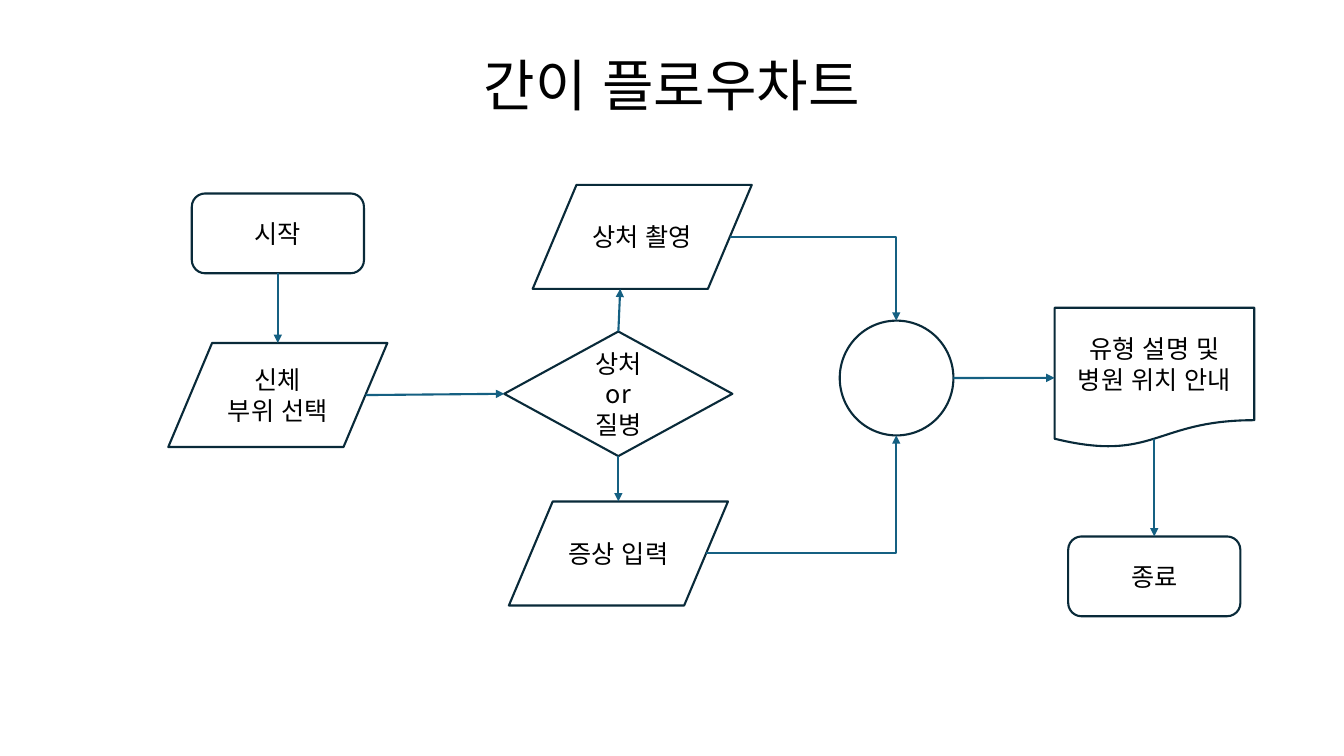
from lxml.etree import SubElement
from pptx import Presentation
from pptx.dml.color import RGBColor
from pptx.enum.lang import MSO_LANGUAGE_ID as LANGUAGE
from pptx.enum.shapes import MSO_CONNECTOR as CONNECTOR, MSO_SHAPE as SHAPE
from pptx.enum.text import MSO_ANCHOR as ANCHOR, MSO_AUTO_SIZE as AUTO_SIZE, PP_ALIGN as ALIGN
from pptx.oxml.ns import qn
from pptx.util import Pt

FONT = "Noto Sans CJK KR"
TOP, LEFT, BOTTOM, RIGHT = range(4)


def color(hex_text):
    return RGBColor.from_string(hex_text)


def write_text(shape, lines, size, anchor):
    """Fill the shape with centred black paragraphs, one per line."""
    frame = shape.text_frame
    frame.word_wrap = True
    frame.vertical_anchor = anchor
    frame.text = "\n".join(lines)
    text_format = {"name": FONT, "size": Pt(size), "language_id": LANGUAGE.KOREAN}
    for paragraph in frame.paragraphs:
        paragraph.alignment = ALIGN.CENTER
        for run in paragraph.runs:
            run.font.color.rgb = color("000000")
            for name, value in text_format.items():
                setattr(run.font, name, value)
            SubElement(run.font._element, qn("a:ea"), typeface=FONT)


presentation = Presentation()
presentation.slide_width, presentation.slide_height = Pt(960), Pt(540)
slide = presentation.slides.add_slide(presentation.slide_layouts[5])

title = slide.shapes.title
title_box = {"left": 221, "top": 36.5, "width": 518, "height": 52}
for side, value in title_box.items():
    setattr(title, side, Pt(value))
write_text(title, ["간이 플로우차트"], 40, ANCHOR.BOTTOM)
title.text_frame.auto_size = AUTO_SIZE.NONE
title.text_frame.paragraphs[0].line_spacing = 0.9

# Steps: key, preset, left, top, size, lines
terminal_size, input_size = (123, 57), (156.5, 74.3)
steps = [
    ("start", SHAPE.ROUNDED_RECTANGLE, 137, 138.2, terminal_size, ["시작"]),
    ("end", SHAPE.ROUNDED_RECTANGLE, 763, 383.2, terminal_size, ["종료"]),
    ("body part", SHAPE.FLOWCHART_DATA, 120.2, 245, input_size, ["신체", "부위 선택"]),
    ("decision", SHAPE.FLOWCHART_DECISION, 360.2, 236.8, (163, 89), ["상처", "or", "질병"]),
    ("symptom", SHAPE.FLOWCHART_DATA, 363.5, 358.2, input_size, ["증상 입력"]),
    ("wound photo", SHAPE.FLOWCHART_DATA, 380.5, 132, input_size, ["상처 촬영"]),
    ("merge", SHAPE.OVAL, 599.8, 229, (81.2, 82), []),
    ("guide", SHAPE.FLOWCHART_DOCUMENT, 753.3, 219.8, (142.6, 100.2),
     ["유형 설명 및", "병원 위치 안내"]),
]
shapes = {}
for key, preset, left, top, size, lines in steps:
    shape = slide.shapes.add_shape(preset, *map(Pt, (left, top, *size)))
    shape.shadow.inherit = False
    shape.fill.solid()
    shape.fill.fore_color.rgb = color("FFFFFF")
    shape.line.color.rgb = color("092A39")
    shape.line.width = Pt(1.5)
    if lines:
        write_text(shape, lines, 18, ANCHOR.MIDDLE)
    shapes[key] = shape

# Arrows: kind, from, to, joined start, joined end
straight, elbow = CONNECTOR.STRAIGHT, CONNECTOR.ELBOW
arrows = [
    (straight, (198.5, 195.2), (198.5, 245), ("start", BOTTOM), None),
    (straight, (261.2, 282.2), (360.2, 281.3), None, ("decision", LEFT)),
    (straight, (441.7, 236.8), (443, 206.3), ("decision", TOP), None),
    (straight, (441.7, 325.8), (441.7, 358.2), ("decision", BOTTOM), None),
    (straight, (681, 270), (753.3, 269.9), None, ("guide", LEFT)),
    (elbow, (504.3, 395.3), (640.2, 311), None, None),
    (elbow, (521.3, 169), (640.2, 229), None, None),
    (straight, (824.5, 313.7), (824.5, 383.2), None, ("end", TOP)),
]
for kind, start, end, start_join, end_join in arrows:
    arrow = slide.shapes.add_connector(kind, *map(Pt, (*start, *end)))
    if start_join:
        arrow.begin_connect(shapes[start_join[0]], start_join[1])
    if end_join:
        arrow.end_connect(shapes[end_join[0]], end_join[1])
    arrow.line.color.rgb = color("156082")
    arrow.line.width = Pt(1.5)
    properties = arrow._element.spPr
    SubElement(properties.find(qn("a:ln")), qn("a:tailEnd"), type="triangle")
    SubElement(properties, qn("a:effectLst"))
    if kind == elbow:
        properties.find(qn("a:prstGeom")).set("prst", "bentConnector2")

presentation.save("out.pptx")
